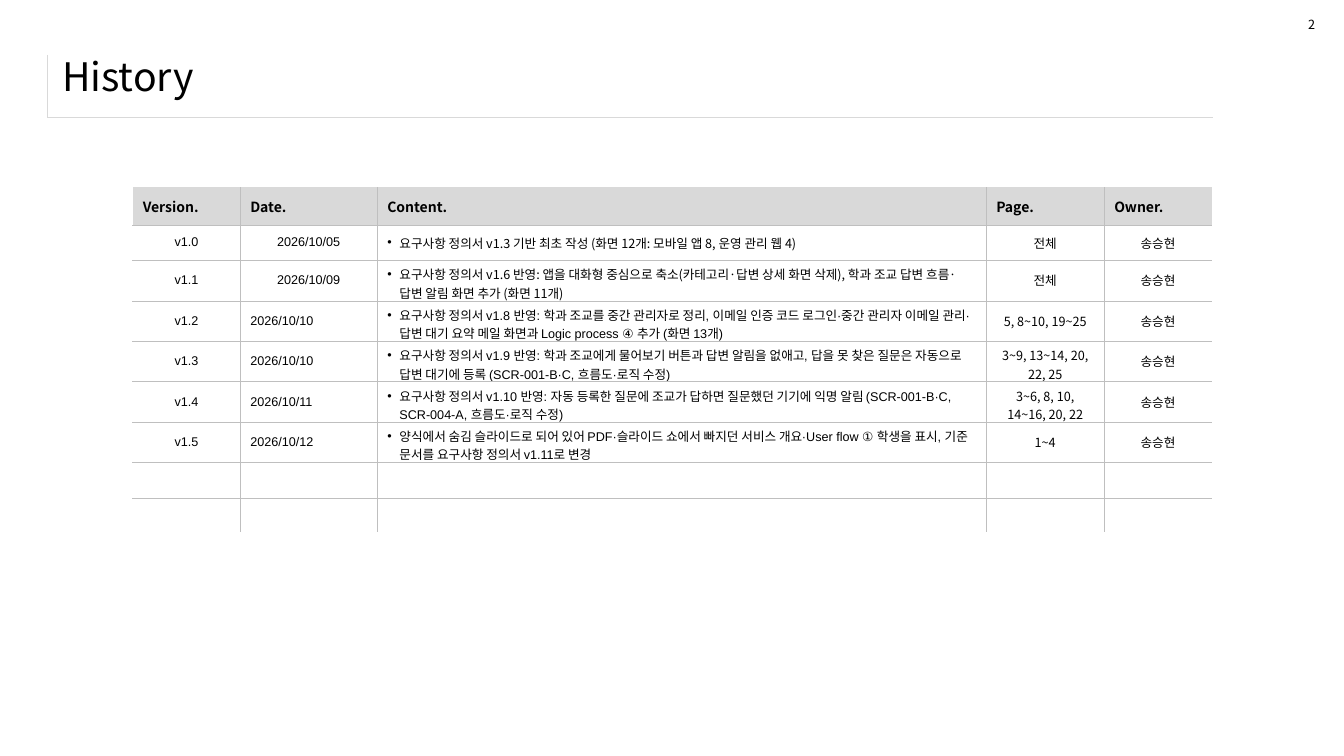
from lxml import etree
from pptx import Presentation
from pptx.dml.color import RGBColor
from pptx.enum.text import MSO_ANCHOR, MSO_AUTO_SIZE, PP_ALIGN
from pptx.oxml.ns import qn
from pptx.util import Pt

MID, TOP = MSO_ANCHOR.MIDDLE, MSO_ANCHOR.TOP
LEFT, MIDDLE = PP_ALIGN.LEFT, PP_ALIGN.CENTER
GROW = MSO_AUTO_SIZE.SHAPE_TO_FIT_TEXT
HUES = {"ink": "000000", "head": "D9D9D9", "line": "BFBFBF", "white": "FFFFFF"}
NOTO, ARIAL = "Noto Sans CJK KR", "Arial"

HEAD = ["Version.", "Date.", "Content.", "Page.", "Owner."]
ROWS = [
    ("v1.0", "2026/10/05", "요구사항 정의서 v1.3 기반 최초 작성 (화면 12개: 모바일 앱 8, 운영 관리 웹 4)", "전체"),
    ("v1.1", "2026/10/09", "요구사항 정의서 v1.6 반영: 앱을 대화형 중심으로 축소(카테고리·답변 상세 화면 삭제), 학과 조교 답변 흐름·답변 알림 화면 추가 (화면 11개)", "전체"),
    ("v1.2", "2026/10/10", "요구사항 정의서 v1.8 반영: 학과 조교를 중간 관리자로 정리, 이메일 인증 코드 로그인·중간 관리자 이메일 관리·답변 대기 요약 메일 화면과 Logic process ④ 추가 (화면 13개)", "5, 8~10, 19~25"),
    ("v1.3", "2026/10/10", "요구사항 정의서 v1.9 반영: 학과 조교에게 물어보기 버튼과 답변 알림을 없애고, 답을 못 찾은 질문은 자동으로 답변 대기에 등록 (SCR-001-B·C, 흐름도·로직 수정)", "3~9, 13~14, 20, 22, 25"),
    ("v1.4", "2026/10/11", "요구사항 정의서 v1.10 반영: 자동 등록한 질문에 조교가 답하면 질문했던 기기에 익명 알림 (SCR-001-B·C, SCR-004-A, 흐름도·로직 수정)", "3~6, 8, 10, 14~16, 20, 22"),
    ("v1.5", "2026/10/12", "양식에서 숨김 슬라이드로 되어 있어 PDF·슬라이드 쇼에서 빠지던 서비스 개요·User flow ① 학생을 표시, 기준 문서를 요구사항 정의서 v1.11로 변경", "1~4"),
]
OWNER = "송승현"
BLANKS = 2
WIDTHS = [76.8, 97.9, 435, 84.3, 76.8]


class Page:
    def __init__(self, slide, hues):
        self.slide = slide
        self.hues = hues

    def words(self, para, text, size, font=NOTO, bold=False, align=LEFT):
        para.alignment = align
        run = para.add_run()
        run.text = text
        run.font.size = Pt(size)
        run.font.bold = bold
        run.font.color.rgb = RGBColor.from_string(self.hues["ink"])
        run.font.name = font
        etree.SubElement(run._r.get_or_add_rPr(), qn("a:ea"), typeface=NOTO)

    def text(self, x, y, w, h, text, size, anchor=TOP, wrap=True):
        frame = self.slide.shapes.add_textbox(Pt(x), Pt(y), Pt(w), Pt(h)).text_frame
        frame.word_wrap = wrap
        frame.vertical_anchor = anchor
        if not wrap:
            frame.auto_size = GROW
        self.words(frame.paragraphs[0], text, size)

    def table(self, x, y, widths, heights):
        shape = self.slide.shapes.add_table(
            len(heights), len(widths), Pt(x), Pt(y), Pt(sum(widths)), Pt(sum(heights)))
        grid = shape.table
        grid.first_row = grid.horz_banding = False
        for col, width in zip(grid.columns, widths):
            col.width = Pt(width)
        for row, height in zip(grid.rows, heights):
            row.height = Pt(height)
        return grid

    def cell(self, cell, edges, fill=None):
        cell.vertical_anchor = MID
        if fill:
            cell.fill.solid()
            cell.fill.fore_color.rgb = RGBColor.from_string(self.hues[fill])
        else:
            cell.fill.background()
        props = cell._tc.get_or_add_tcPr()
        for spot, side in enumerate("LRTB"):
            hue = edges.get(side)
            line = etree.Element(qn("a:ln" + side))
            if hue:
                line.set("w", str(Pt(1 if hue == "white" else 0.25)))
                solid = etree.SubElement(line, qn("a:solidFill"))
                etree.SubElement(solid, qn("a:srgbClr"), val=self.hues[hue])
            else:
                etree.SubElement(line, qn("a:noFill"))
            props.insert(spot, line)

    def blank(self, cell):
        etree.SubElement(cell.text_frame.paragraphs[0]._p, qn("a:endParaRPr"), sz="900")

    def bullet(self, para):
        props = para._p.get_or_add_pPr()
        props.set("marL", str(Pt(8.64)))
        props.set("indent", str(Pt(-8.64)))
        etree.SubElement(props, qn("a:buFont"), typeface=ARIAL)
        etree.SubElement(props, qn("a:buChar"), char="•")


def fill_log(page):
    count = 1 + len(ROWS) + BLANKS
    grid = page.table(94.8, 133.7, WIDTHS, [27] + [25.2] * (count - 1))
    last = len(WIDTHS) - 1
    for r in range(count):
        for c in range(len(WIDTHS)):
            cell = grid.cell(r, c)
            page.cell(cell, {
                "L": "line" if c else "white",
                "R": "line" if c < last else None,
                "T": "line" if r else None,
                "B": "line" if r < count - 1 else "white",
            }, None if r else "head")
            para = cell.text_frame.paragraphs[0]
            if r == 0:
                page.words(para, HEAD[c], 10, bold=True)
            elif r > len(ROWS):
                page.blank(cell)
            else:
                early = r <= 2
                latin = c < 2 or (c == 2 and not early)
                plain = c == 2 or (c == 1 and not early)
                if c == 2:
                    page.bullet(para)
                page.words(para, (*ROWS[r - 1], OWNER)[c], 9,
                           ARIAL if latin else NOTO, align=LEFT if plain else MIDDLE)


def main():
    deck = Presentation()
    deck.slide_width, deck.slide_height = Pt(960), Pt(540)
    page = Page(deck.slides.add_slide(deck.slide_layouts[6]), HUES)
    frame = page.table(33.8, 39.2, [832.4], [44.3]).cell(0, 0)
    page.cell(frame, {"L": "head", "B": "head"})
    page.blank(frame)
    page.text(37.4, 31.7, 899.3, 45.4, "History", 28, MID)
    fill_log(page)
    page.text(927.4, 8.6, 19.4, 18, "2", 9, wrap=False)
    deck.save("out.pptx")


if __name__ == "__main__":
    main()
